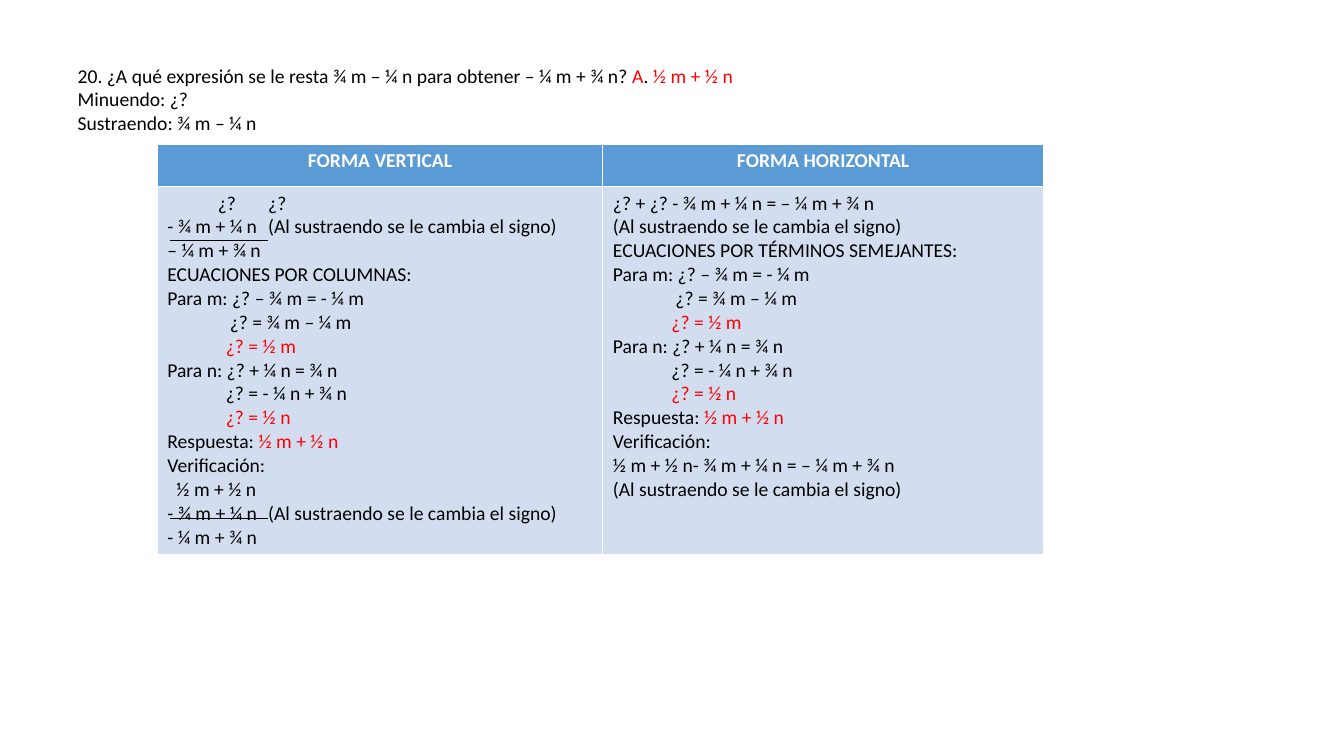
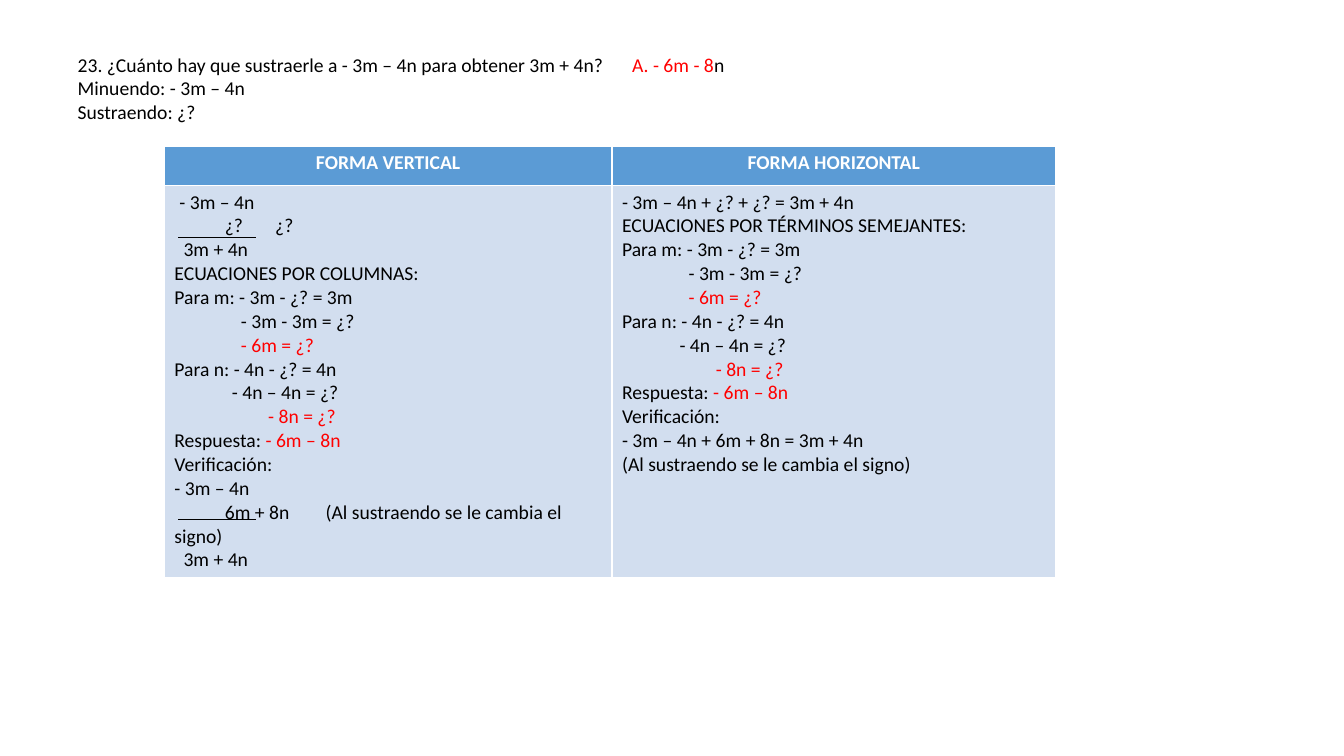
from dataclasses import dataclass
from lxml import etree
from pptx import Presentation
from pptx.dml.color import RGBColor
from pptx.enum import shapes, text
from pptx.oxml import ns
from pptx.util import Inches, Pt


@dataclass(frozen=True)
class Theme:
    font: str = "Calibri"
    size: int = 14
    rule: float = 0.5
    ink: str = "000000"
    red: str = "FF0000"
    white: str = "FFFFFF"
    band: str = "5B9BD5"
    pale: str = "D2DEEF"


T = Theme()
HEADS = ("FORMA VERTICAL", "FORMA HORIZONTAL")
COLS = "ECUACIONES POR COLUMNAS:"
TERMS = "ECUACIONES POR TÉRMINOS SEMEJANTES:"
NOTE = "(Al sustraendo se le cambia el signo)"
CHECK = "Verificación:"

# Each line is (indent, black text, red text).
SOLVE_A = [
    (0, "Para m: ¿? – ¾ m = - ¼ m", ""),
    (0.62, "¿? = ¾ m – ¼ m", ""),
    (0.58, "", "¿? = ½ m"),
    (0, "Para n: ¿? + ¼ n = ¾ n", ""),
    (0.58, "¿? = - ¼ n + ¾ n", ""),
    (0.58, "", "¿? = ½ n"),
    (0, "Respuesta: ", "½ m + ½ n"),
    (0, CHECK, ""),
]
SOLVE_B = [
    (0, "Para m: - 3m - ¿? = 3m", ""),
    (0.66, "- 3m - 3m = ¿?", ""),
    (0.66, "", "- 6m = ¿?"),
    (0, "Para n: - 4n - ¿? = 4n", ""),
    (0.57, "- 4n – 4n = ¿?", ""),
    (0.93, "", "- 8n = ¿?"),
    (0, "Respuesta: ", "- 6m – 8n"),
    (0, CHECK, ""),
]

SLIDES = [
    {
        "title": [
            [("20. ¿A qué expresión se le resta ¾ m – ¼ n para obtener – ¼ m + ¾ n?\t", T.ink),
             ("A", T.red), (". ", T.ink), ("½ m + ½ n", T.red)],
            [("Minuendo: ¿?", T.ink)],
            [("Sustraendo: ¾ m – ¼ n", T.ink)],
        ],
        "top": 0.58,
        "grid": (1.56, 1.43),
        "cols": (4.42, 4.37),
        "rows": (0.42, 3.6),
        "tabs": {"\t¿?": (0.22, 0.63), "- ¾": (1.03,)},
        "sums": [
            [(0, "\t¿?\t¿?", ""), (0, "- ¾ m + ¼ n\t" + NOTE, ""),
             (0, "– ¼ m + ¾ n", ""), (0, COLS, ""), *SOLVE_A,
             (0.09, "½ m + ½ n", ""), (0, "- ¾ m + ¼ n\t" + NOTE, ""),
             (0, "- ¼ m + ¾ n", "")],
            [(0, "¿? + ¿? - ¾ m + ¼ n = – ¼ m + ¾ n", ""), (0, NOTE, ""),
             (0, TERMS, ""), *SOLVE_A,
             (0, "½ m + ½ n- ¾ m + ¼ n = – ¼ m + ¾ n", ""), (0, NOTE, "")],
        ],
        "rules": (1.69, 2.66, (2.38, 5.14)),
    },
    {
        "title": [
            [("23. ¿Cuánto hay que sustraerle a - 3m – 4n para obtener 3m + 4n?\t", T.ink),
             ("A. - 6m - 8", T.red), ("n", T.ink)],
            [("Minuendo: - 3m – 4n", T.ink)],
            [("Sustraendo: ¿?", T.ink)],
        ],
        "top": 0.47,
        "grid": (1.63, 1.45),
        "cols": (4.44, 4.4),
        "rows": (0.39, 3.6),
        "tabs": {"\t¿?": (0.14, 0.58), "\t6m": (0.09, 1.08)},
        "sums": [
            [(0.05, "- 3m – 4n", ""), (0, "\t¿?\t¿?", ""),
             (0.09, "3m + 4n", ""), (0, COLS, ""), *SOLVE_B,
             (0, "- 3m – 4n", ""), (0, "\t6m + 8n\t" + NOTE, ""),
             (0.09, "3m + 4n", "")],
            [(0, "- 3m – 4n + ¿? + ¿? = 3m + 4n", ""), (0, TERMS, ""), *SOLVE_B,
             (0, "- 3m – 4n + 6m + 8n = 3m + 4n", ""), (0, NOTE, "")],
        ],
        "rules": (1.77, 2.54, (2.35, 5.15)),
    },
]


def write(par, runs, bold=False):
    for words, tint in runs:
        if words:
            run = par.add_run()
            run.text = words
            font = run.font
            font.name, font.size, font.bold = T.font, Pt(T.size), bold
            font.color.rgb = RGBColor.from_string(tint)


def indent(par, left=0, stops=()):
    props = par._p.get_or_add_pPr()
    props.set("marL", str(Inches(left)))
    props.set("indent", "0")
    if stops:
        tabs = etree.SubElement(props, ns.qn("a:tabLst"))
        for stop in stops:
            etree.SubElement(tabs, ns.qn("a:tab"), pos=str(Inches(stop)), algn="l")


def lines(frame, count):
    for n in range(count):
        yield frame.paragraphs[0] if n == 0 else frame.add_paragraph()


def add_title(slide, data):
    box = slide.shapes.title
    box.left, box.top = Inches(0.67), Inches(data["top"])
    box.width, box.height = Inches(9.5), Inches(0.81)
    frame = box.text_frame
    frame.word_wrap = True
    frame.auto_size = text.MSO_AUTO_SIZE.NONE
    frame.vertical_anchor = text.MSO_ANCHOR.TOP
    for par, runs in zip(lines(frame, len(data["title"])), data["title"]):
        par.alignment = text.PP_ALIGN.LEFT
        indent(par, stops=(6,))
        write(par, runs)


def paint(cell, tint):
    cell.fill.solid()
    cell.fill.fore_color.rgb = RGBColor.from_string(tint)


def add_grid(slide, data):
    left, top = data["grid"]
    cols, rows = data["cols"], data["rows"]
    grid = slide.shapes.add_table(
        len(rows), len(cols), Inches(left), Inches(top),
        Inches(sum(cols)), Inches(sum(rows))).table
    grid.horz_banding = False
    for row, tall in zip(grid.rows, rows):
        row.height = Inches(tall)
    for n, wide in enumerate(cols):
        grid.columns[n].width = Inches(wide)
        head, body = grid.cell(0, n), grid.cell(1, n)
        paint(head, T.band)
        paint(body, T.pale)
        par = head.text_frame.paragraphs[0]
        par.alignment = text.PP_ALIGN.CENTER
        write(par, [(HEADS[n], T.white)], True)
        work = data["sums"][n]
        for par, (left, black, red) in zip(lines(body.text_frame, len(work)), work):
            stops = next((s for key, s in data["tabs"].items()
                          if "\t" in black and black.startswith(key)), ())
            indent(par, left, stops)
            write(par, [(black, T.ink), (red, T.red)])


def add_rules(slide, data):
    start, end, tops = data["rules"]
    for top in tops:
        rule = slide.shapes.add_connector(
            shapes.MSO_CONNECTOR.STRAIGHT,
            Inches(start), Inches(top), Inches(end), Inches(top))
        rule.line.color.rgb = RGBColor.from_string(T.ink)
        rule.line.width = Pt(T.rule)
        etree.SubElement(rule._element.spPr, ns.qn("a:effectLst"))


def main():
    deck = Presentation()
    deck.slide_width, deck.slide_height = Inches(13.33), Inches(7.5)
    for data in SLIDES:
        slide = deck.slides.add_slide(deck.slide_layouts[5])
        add_title(slide, data)
        add_grid(slide, data)
        add_rules(slide, data)
    deck.save("out.pptx")


if __name__ == "__main__":
    main()
